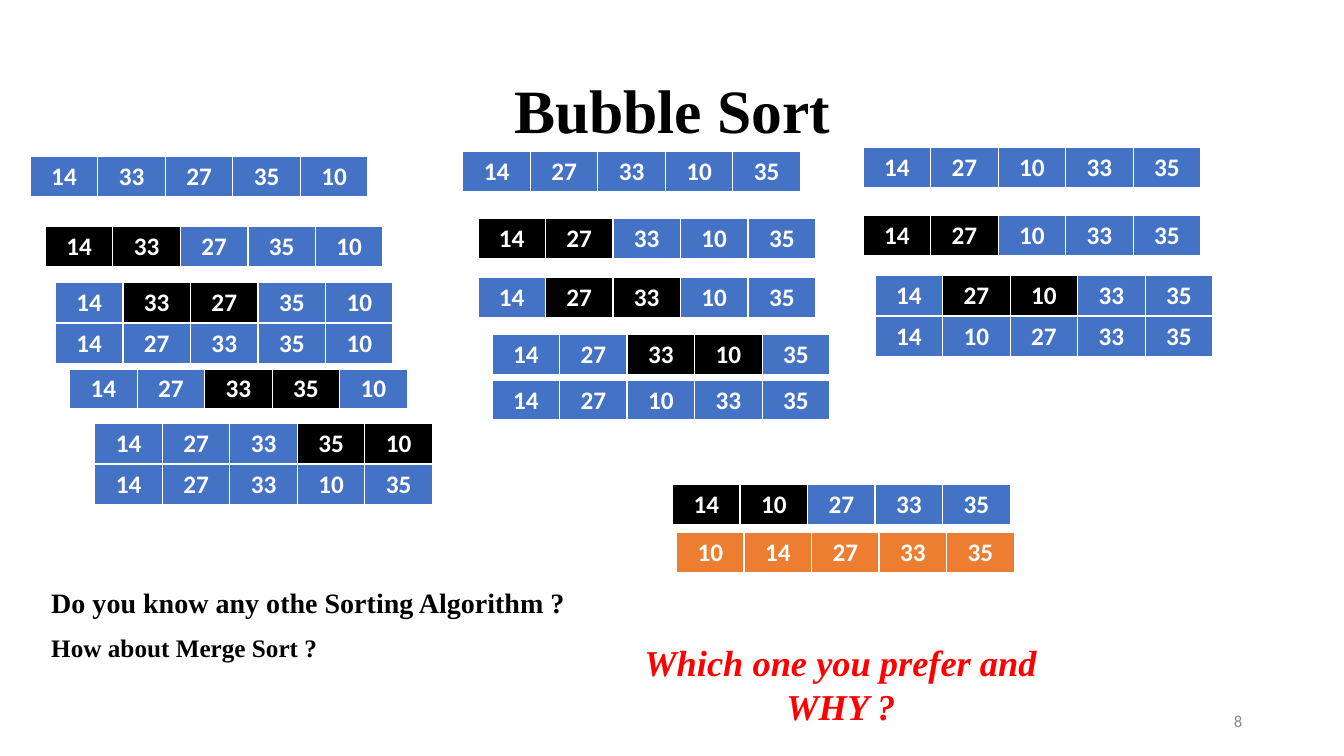
import pptx
import pptx.util
import pptx.dml.color
import pptx.enum.text
import pptx.oxml
import pptx.oxml.ns

Inches = pptx.util.Inches
RGBColor = pptx.dml.color.RGBColor
ALIGN = pptx.enum.text.PP_ALIGN
ANCHOR = pptx.enum.text.MSO_ANCHOR
AUTO = pptx.enum.text.MSO_AUTO_SIZE

WHITE = RGBColor(0xFF, 0xFF, 0xFF)
BLACK = RGBColor(0, 0, 0)
RED = RGBColor(0xFF, 0, 0)
GRAY = RGBColor(0x8C, 0x8C, 0x8C)
BLUE = RGBColor(0x44, 0x72, 0xC4)
ORANGE = RGBColor(0xED, 0x7D, 0x31)

SERIF = "Times New Roman"
SANS = "Calibri"
CELL_W = 0.67
ROW_W = 3.34
ROW_H = 0.41
BORDERS = {"lnL": 1, "lnR": 1, "lnT": 1, "lnB": 3}

START = (14, 33, 27, 35, 10)
SWAP_1 = (14, 27, 33, 35, 10)
PASS_1 = (14, 27, 33, 10, 35)
PASS_2 = (14, 27, 10, 33, 35)
PASS_3 = (14, 10, 27, 33, 35)
SORTED = (10, 14, 27, 33, 35)

STEPS = [
    (0.3, 1.55, START, None),
    (0.45, 2.25, START, 0),
    (0.55, 2.8, START, 1),
    (0.55, 3.21, SWAP_1, None),
    (0.69, 3.66, SWAP_1, 2),
    (0.94, 4.2, SWAP_1, 3),
    (4.59, 1.5, PASS_1, None),
    (0.94, 4.61, PASS_1, None),
    (4.74, 2.17, PASS_1, 0),
    (4.74, 2.75, PASS_1, 1),
    (4.88, 3.32, PASS_1, 2),
    (4.88, 3.77, PASS_2, None),
    (8.56, 1.46, PASS_2, None),
    (8.56, 2.14, PASS_2, 0),
    (8.68, 2.73, PASS_2, 1),
    (8.68, 3.14, PASS_3, None),
    (6.67, 4.81, PASS_3, 0),
]


def write(tf, text, color, size, align=ALIGN.LEFT, **font):
    p = tf.paragraphs[0]
    p.alignment = align
    r = p.add_run()
    r.text = text
    r.font.color.rgb = color
    values = {"name": SERIF, "size": pptx.util.Pt(size), "bold": True, **font}
    for name, value in values.items():
        setattr(r.font, name, value)
    return p


def add_title(s, text):
    title = s.shapes.title
    box = {"left": 0.92, "top": 0.4, "width": 11.5, "height": 1.45}
    for name, value in box.items():
        setattr(title, name, Inches(value))
    tf = title.text_frame
    tf.auto_size = AUTO.NONE
    tf.vertical_anchor = ANCHOR.MIDDLE
    p = write(tf, text, BLACK, 44, ALIGN.CENTER)
    p.line_spacing = 0.9


def add_text(s, box, text, color, size, anchor=ANCHOR.TOP, **style):
    tf = s.shapes.add_textbox(*map(Inches, box)).text_frame
    tf.word_wrap = True
    tf.vertical_anchor = anchor
    write(tf, text, color, size, **style)


def set_borders(cell):
    tc_pr = cell._tc.get_or_add_tcPr()
    for i, (tag, width) in enumerate(BORDERS.items()):
        ln = pptx.oxml.parse_xml(
            f'<a:{tag} {pptx.oxml.ns.nsdecls("a")} w="{pptx.util.Pt(width)}">'
            f'<a:solidFill><a:srgbClr val="{WHITE}"/></a:solidFill></a:{tag}>'
        )
        tc_pr.insert(i, ln)


def add_array(s, left, top, numbers, compared=None, color=BLUE):
    box = map(Inches, (left, top, ROW_W, ROW_H))
    table = s.shapes.add_table(1, len(numbers), *box).table
    table.horz_banding = False
    for i, number in enumerate(numbers):
        table.columns[i].width = Inches(CELL_W)
        cell = table.cell(0, i)
        cell.fill.solid()
        is_compared = compared is not None and i in (compared, compared + 1)
        cell.fill.fore_color.rgb = BLACK if is_compared else color
        set_borders(cell)
        write(cell.text_frame, str(number), WHITE, 18, ALIGN.CENTER, name=SANS)


def main():
    prs = pptx.Presentation()
    prs.slide_width = Inches(13.33)
    prs.slide_height = Inches(7.5)
    s = prs.slides.add_slide(prs.slide_layouts[5])

    add_title(s, "Bubble Sort")
    for step in STEPS:
        add_array(s, *step)
    add_array(s, 6.71, 5.28, SORTED, color=ORANGE)

    add_text(s, (0.41, 5.76, 5.52, 0.44),
             "Do you know any othe Sorting Algorithm ?", BLACK, 20)
    add_text(s, (5.87, 6.3, 4.94, 0.98), "Which one you prefer and WHY ?",
             RED, 26, align=ALIGN.CENTER, italic=True)
    add_text(s, (0.41, 6.22, 3.29, 0.4), "How about Merge Sort ?", BLACK, 18)
    add_text(s, (9.42, 6.95, 3, 0.4), "8", GRAY, 12, ANCHOR.MIDDLE,
             align=ALIGN.RIGHT, name=SANS, bold=False)

    prs.save("out.pptx")


main()
